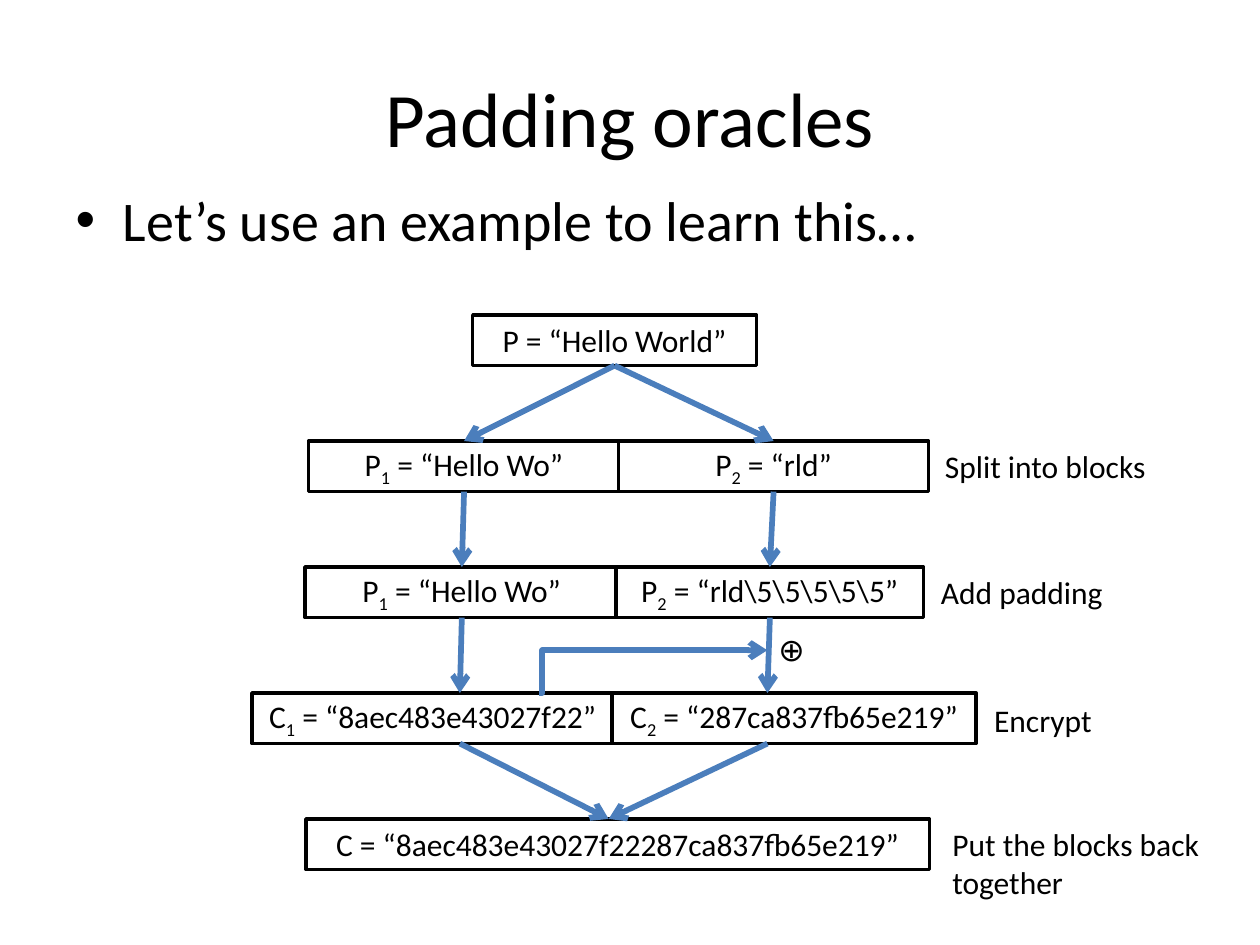
from pptx import Presentation
from pptx import util as u
from pptx.dml import color
from pptx.enum import shapes, text
from pptx.oxml import ns
from lxml import etree

FONT, BLACK, WHITE, BLUE = "Calibri", "000000", "FFFFFF", "4B7EBC"
PITCH, BOX_HEIGHT = 2.54, 1.02


def rgb(value):
    return color.RGBColor.from_string(value)


def add_run(paragraph, words, size, baseline=None):
    run = paragraph.add_run()
    run.text = words
    run.font.name = FONT
    run.font.size = u.Pt(size)
    run.font.color.rgb = rgb(BLACK)
    if baseline:
        run._r.get_or_add_rPr().set("baseline", str(baseline))


def fill_placeholder(placeholder, box, words, size):
    placeholder.left, placeholder.top, placeholder.width, placeholder.height = map(u.Cm, box)
    add_run(placeholder.text_frame.paragraphs[0], words, size)


def add_block(slide, left, top, width, name, value="", index=""):
    shape = slide.shapes.add_shape(
        shapes.MSO_SHAPE.RECTANGLE, *map(u.Cm, (left, top, width, BOX_HEIGHT)))
    shape.shadow.inherit = False
    shape.fill.solid()
    shape.fill.fore_color.rgb = rgb(WHITE)
    shape.line.color.rgb = rgb(BLACK)
    shape.line.width = u.Pt(2)
    frame = shape.text_frame
    frame.word_wrap = True
    frame.auto_size = text.MSO_AUTO_SIZE.SHAPE_TO_FIT_TEXT
    paragraph = frame.paragraphs[0]
    paragraph.alignment = text.PP_ALIGN.CENTER
    add_run(paragraph, name, 18)
    if index:
        add_run(paragraph, index, 18, -25000)
    add_run(paragraph, f" = “{value}”", 18)
    return shape


def add_label(slide, left, top, width, height, words):
    shape = slide.shapes.add_textbox(*map(u.Cm, (left, top, width, height)))
    frame = shape.text_frame
    frame.word_wrap = True
    frame.auto_size = text.MSO_AUTO_SIZE.SHAPE_TO_FIT_TEXT
    add_run(frame.paragraphs[0], words, 18)


def add_arrow(slide, start, end, source=None, target=None, kind=shapes.MSO_CONNECTOR.STRAIGHT):
    connector = slide.shapes.add_connector(kind, *map(u.Cm, (*start, *end)))
    if source is not None:
        connector.begin_connect(source, 2)
    if target is not None:
        connector.end_connect(target, 0)
    connector.line.color.rgb = rgb(BLUE)
    connector.line.width = u.Pt(3.25)
    line = connector.line._get_or_add_ln()
    etree.SubElement(line, ns.qn("a:tailEnd"), type="arrow")
    etree.SubElement(connector.element.spPr, ns.qn("a:effectLst"))
    return connector


def add_header(slide, left, top, width):
    title, body = slide.placeholders
    fill_placeholder(title, (left, top, width, 3.18), "Padding oracles", 44)
    fill_placeholder(body, (left, top + 2.85, width, 1.9),
                     "Let’s use an example to learn this…", 32)


def add_flow(slide, left, top):
    split_top, padded_top, cipher_top, joined_top = (top + PITCH * row for row in range(1, 5))

    def pair(row_top, cells):
        return [add_block(slide, left + offset, row_top, width, name, value, str(index))
                for index, (offset, width, name, value) in enumerate(cells, 1)]

    plain = add_block(slide, left + 4.45, top, 5.72, "P", "Hello World")
    split = pair(split_top, [(1.14, 6.27, "P", "Hello Wo"), (7.39, 6.25, "P", "rld")])
    padded = pair(padded_top, [(1.07, 6.32, "P", "Hello Wo"),
                               (7.34, 6.2, "P", r"rld\5\5\5\5\5")])
    pair(cipher_top, [(0, 7.29, "C", "8aec483e43027f22"),
                      (7.26, 7.34, "C", "287ca837fb65e219")])
    add_block(slide, left + 1.09, joined_top, 12.57, "C", "8aec483e43027f22287ca837fb65e219")

    joined_point = (left + 7.19, joined_top)
    for split_block, padded_block, offset in zip(split, padded, (4.19, 10.39)):
        lane = left + offset
        add_arrow(slide, (lane, top), (lane, split_top), plain, split_block)
        add_arrow(slide, (lane, split_top), (lane, padded_top), split_block, padded_block)
        add_arrow(slide, (lane, padded_top), (lane, cipher_top), padded_block)
        add_arrow(slide, (lane, cipher_top + BOX_HEIGHT), joined_point)

    for offset, label_top, height, words in (
        (13.72, split_top, BOX_HEIGHT, "Split into blocks"),
        (13.64, padded_top, BOX_HEIGHT, "Add padding"),
        (14.71, cipher_top + 0.03, BOX_HEIGHT, "Encrypt"),
        (13.87, joined_top, 1.8, "Put the blocks back together"),
    ):
        add_label(slide, left + offset, label_top, 5.99, height, words)
    add_label(slide, left + 10.36, cipher_top - 1.4, 1.78, BOX_HEIGHT, "⊕")

    chaining = add_arrow(slide, (left + 5.79, cipher_top), (left + 10.39, cipher_top - 0.86),
                         kind=shapes.MSO_CONNECTOR.ELBOW)
    geometry = chaining.element.spPr.find(ns.qn("a:prstGeom"))
    adjustments = geometry.find(ns.qn("a:avLst"))
    etree.SubElement(adjustments, ns.qn("a:gd"), name="adj1", fmla="val 1400")


def main():
    presentation = Presentation()
    presentation.slide_width, presentation.slide_height = u.Cm(25.4), u.Cm(19.05)
    slide = presentation.slides.add_slide(presentation.slide_layouts[1])
    add_header(slide, 1.27, 0.76, 22.86)
    add_flow(slide, 5.08, 6.35)
    presentation.save("out.pptx")


if __name__ == "__main__":
    main()
